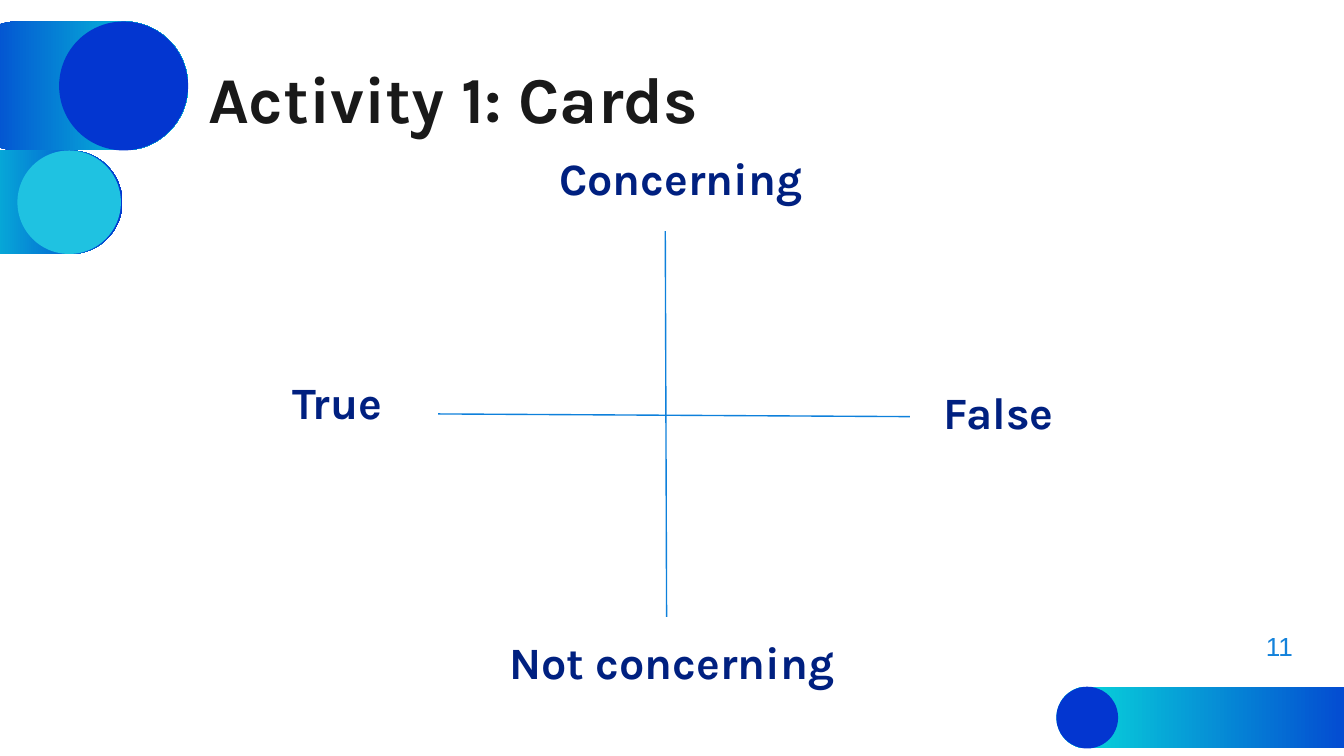
from lxml import etree
from pptx import Presentation
from pptx.dml.color import RGBColor
from pptx.enum.shapes import MSO_CONNECTOR, MSO_SHAPE
from pptx.enum.text import MSO_ANCHOR, MSO_AUTO_SIZE, PP_ALIGN
from pptx.oxml.ns import qn
from pptx.util import Inches, Pt

LEFT, CENTER, RIGHT = PP_ALIGN.LEFT, PP_ALIGN.CENTER, PP_ALIGN.RIGHT
TOP, BOTTOM = MSO_ANCHOR.TOP, MSO_ANCHOR.BOTTOM
NO_AUTOFIT = MSO_AUTO_SIZE.NONE
PILL, CIRCLE = MSO_SHAPE.ROUNDED_RECTANGLE, MSO_SHAPE.OVAL
STRAIGHT = MSO_CONNECTOR.STRAIGHT
COMPARISON_LAYOUT = 4

COLORS = {
    "blue": "0336D0",
    "cyan": "08E0DB",
    "sky": "1FC2E1",
    "title": "191919",
    "label": "002080",
    "axis": "0E80DB",
    "number": "1382DB",
}


def rgb(name):
    return RGBColor.from_string(COLORS[name])


def write_text(holder, text, *, size, color, font="Karla", bold=True,
               align=LEFT, anchor=TOP):
    frame = holder.text_frame
    frame.word_wrap = True
    frame.auto_size = NO_AUTOFIT
    frame.vertical_anchor = anchor
    frame.margin_left = frame.margin_right = Inches(0.1)
    frame.margin_top = frame.margin_bottom = Inches(0.1)
    frame.text = text
    paragraph = frame.paragraphs[0]
    paragraph.alignment = align
    paragraph.space_before = Pt(0)
    run_font = paragraph.runs[0].font
    run_font.name, run_font.size, run_font.bold = font, Pt(size), bold
    run_font.color.rgb = rgb(color)
    return paragraph


def place(holder, box):
    holder.left, holder.top, holder.width, holder.height = map(Inches, box)


class CardsSlide:
    """Holds the current slide and the style of its elements."""

    def __init__(self, deck):
        self.slide = deck.slides.add_slide(deck.slide_layouts[COMPARISON_LAYOUT])
        self.shapes = self.slide.shapes

    def title(self, text, box):
        place(self.shapes.title, box)
        write_text(self.shapes.title, text, size=35, color="title", align=CENTER)

    def label(self, index, text, box, align):
        """Fill one body placeholder with an axis label, without a bullet."""
        holder = self.slide.placeholders[index]
        place(holder, box)
        paragraph = write_text(holder, text, size=24, color="label",
                               align=align, anchor=BOTTOM)
        properties = paragraph._p.get_or_add_pPr()
        properties.set("marL", "0")
        properties.set("indent", "0")
        etree.SubElement(properties, qn("a:buNone"))

    def axis(self, start, end):
        line = self.shapes.add_connector(STRAIGHT, *map(Inches, start + end))
        line.line.color.rgb = rgb("axis")
        line.line.width = Pt(0.75)
        etree.SubElement(line._element.spPr, qn("a:effectLst"))

    def plain_shape(self, kind, box):
        shape = self.shapes.add_shape(kind, *map(Inches, box))
        shape.shadow.inherit = False
        shape.line.fill.background()
        return shape

    def capsule(self, box, circle_left, gradient, circle_color):
        """Draw a pill with a left-to-right gradient and a circle on it."""
        left, top, width, height = box
        pill = self.plain_shape(PILL, box)
        pill.adjustments[0] = 0.5
        pill.fill.gradient()
        pill.fill.gradient_angle = 0
        for stop, color in zip(pill.fill.gradient_stops, gradient):
            stop.color.rgb = rgb(color)
        circle = self.plain_shape(CIRCLE, (circle_left, top, height, height))
        circle.fill.solid()
        circle.fill.fore_color.rgb = rgb(circle_color)

    def page_number(self, text, box):
        holder = self.shapes.add_textbox(*map(Inches, box))
        write_text(holder, text, size=14, color="number", font="Arial", bold=False)


def main():
    deck = Presentation()
    deck.slide_width = Inches(10)
    deck.slide_height = deck.slide_width * 9 // 16
    cards = CardsSlide(deck)

    cards.title("Activity 1: Cards", (-0.84, 0.33, 8.43, 0.63))
    labels = [
        ("False", (5.58, 2.95, 2.36, 0.41), RIGHT),
        ("Concerning", (3.71, 1.21, 2.36, 0.41), RIGHT),
        ("True", (2.08, 2.88, 2.36, 0.41), LEFT),
        ("Not concerning", (3.69, 4.8, 2.68, 0.42), LEFT),
    ]
    for index, (text, box, align) in enumerate(labels, start=1):
        cards.label(index, text, box, align)

    cards.capsule((7.86, 5.11, 2.46, 0.46), 7.86, ("cyan", "blue"), "blue")
    cards.capsule((-0.34, 0.16, 1.74, 0.96), 0.44, ("blue", "cyan"), "blue")
    cards.capsule((-0.46, 1.12, 1.37, 0.77), 0.13, ("cyan", "blue"), "sky")

    cards.axis((4.95, 1.72), (4.96, 4.59))
    cards.axis((3.26, 3.08), (6.77, 3.1))
    cards.page_number("11", (9.32, 4.59, 0.68, 0.63))

    deck.save("out.pptx")


if __name__ == "__main__":
    main()
